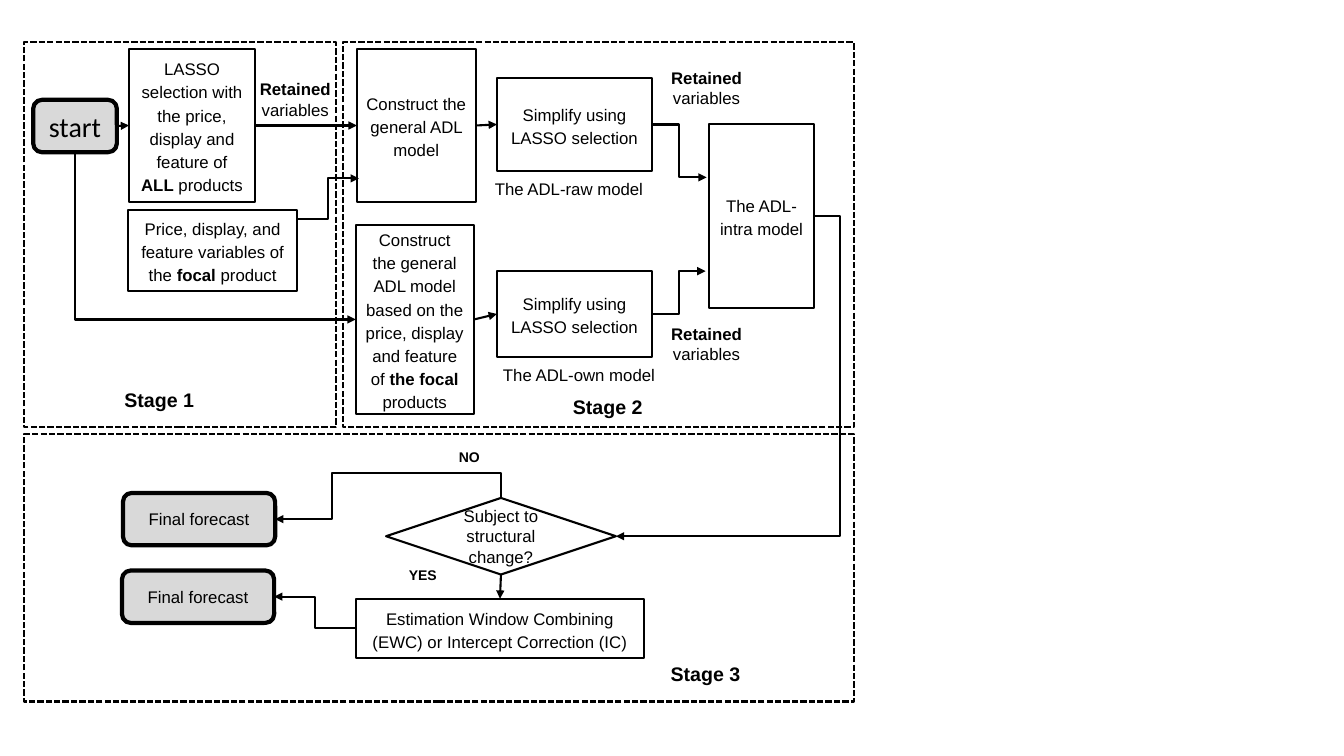
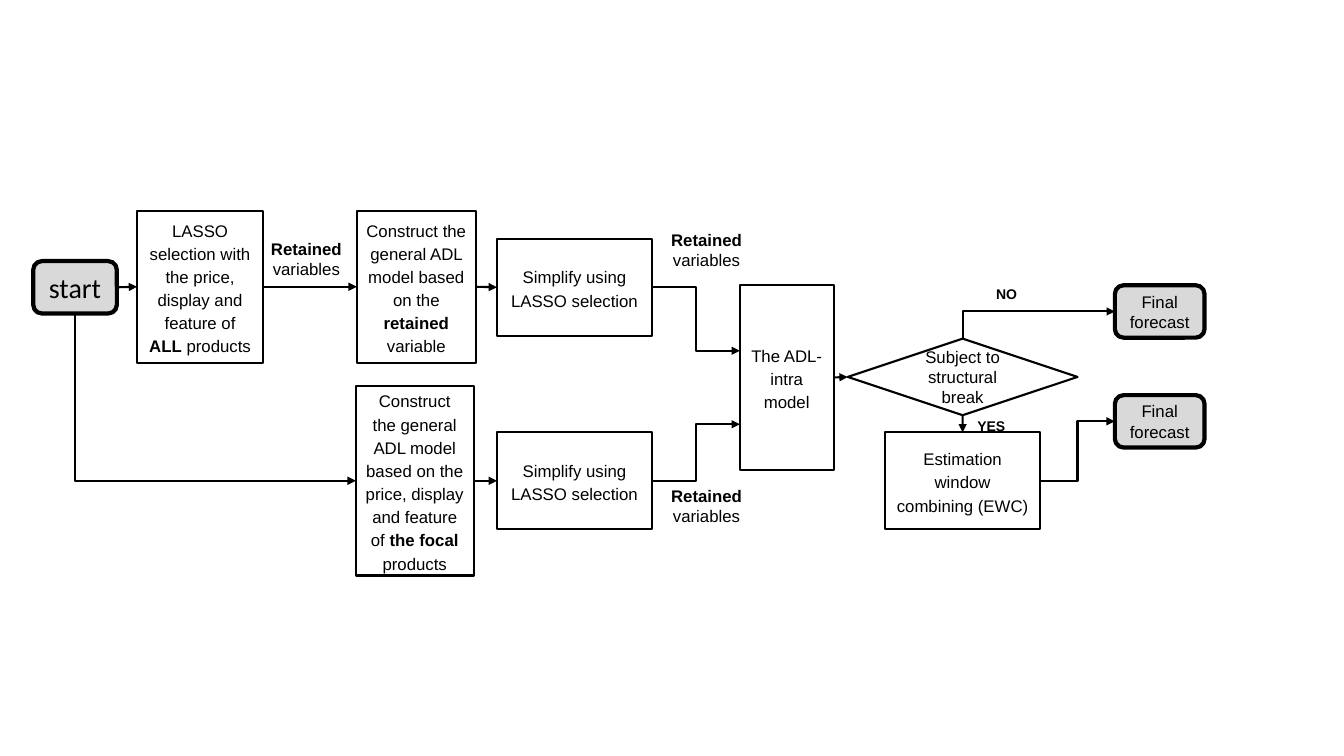
from lxml.etree import SubElement
from pptx import Presentation
from pptx.dml.color import RGBColor
from pptx.enum.dml import MSO_LINE
from pptx.enum.shapes import MSO_CONNECTOR, MSO_SHAPE
from pptx.enum.text import MSO_ANCHOR, PP_ALIGN
from pptx.oxml.ns import qn
from pptx.util import Inches, Pt

BLACK = RGBColor(0x00, 0x00, 0x00)
WHITE = RGBColor(0xFF, 0xFF, 0xFF)
GREY = RGBColor(0xD9, 0xD9, 0xD9)
CELL = 0.1
COLUMNS, ROWS = 133.33, 75
TOP, LEFT, BOTTOM, RIGHT = range(4)

RETAINED = "**Retained** variables"
SIMPLIFY = "Simplify using LASSO selection"
FORECAST = "Final forecast"


def grid(*cells):
    return [Inches(cell * CELL) for cell in cells]


def write(frame, text, size=12, font="Arial", bold=False, spacing=None, after=None):
    frame.word_wrap = True
    frame.vertical_anchor = MSO_ANCHOR.MIDDLE
    paragraph = frame.paragraphs[0]
    paragraph.alignment = PP_ALIGN.CENTER
    paragraph.line_spacing = spacing
    paragraph.space_after = after
    for index, part in enumerate(text.split("**")):
        if part:
            run = paragraph.add_run()
            run.text = part
            run.font.name = font
            run.font.size = Pt(size)
            run.font.bold = bold or index % 2 == 1
            run.font.color.rgb = BLACK


class FlowChart:
    process_text = {"spacing": 1.15, "after": Pt(10)}

    def __init__(self, presentation):
        self.presentation = presentation
        self.slide = None

    def new_slide(self):
        blank = self.presentation.slide_layouts[6]
        self.slide = self.presentation.slides.add_slide(blank)

    def outline(self, preset, place, fill=None, width=None):
        shape = self.slide.shapes.add_shape(preset, *grid(*place))
        shape.shadow.inherit = False
        if fill is None:
            shape.fill.background()
        else:
            shape.fill.solid()
            shape.fill.fore_color.rgb = fill
        if width is None:
            shape.line.fill.background()
        else:
            shape.line.color.rgb = BLACK
            shape.line.width = Pt(width)
        return shape

    def process(self, text, *place):
        shape = self.outline(MSO_SHAPE.RECTANGLE, place, WHITE, 1.5)
        frame = shape.text_frame
        frame.margin_left = frame.margin_right = Inches(0.09)
        write(frame, text, **self.process_text)
        return shape

    def terminal(self, text, *place, **style):
        shape = self.outline(MSO_SHAPE.ROUNDED_RECTANGLE, place, GREY, 3)
        write(shape.text_frame, text, **style)
        return shape

    def decision(self, text, column, row):
        shape = self.outline(MSO_SHAPE.DIAMOND, (column, row, 22.8, 7.6), WHITE, 1.5)
        write(shape.text_frame, text)
        return shape

    def retained(self, column, row):
        shape = self.outline(MSO_SHAPE.OVAL, (column, row, 14, 4.1))
        write(shape.text_frame, RETAINED)

    def label(self, text, *place, **style):
        box = self.slide.shapes.add_textbox(*grid(*place))
        write(box.text_frame, text, **style)

    def answer(self, text, column, row):
        self.label(text, column, row, 5.7, 2.1, size=10, bold=True)

    def stage(self, name, place, column, row):
        border = self.outline(MSO_SHAPE.RECTANGLE, place, width=1.5)
        border.line.dash_style = MSO_LINE.SQUARE_DOT
        self.label(name, column, row, 13, 4.1, size=14, bold=True)

    def arrow(self, source, target, sides=(RIGHT, LEFT), bends=None):
        route = MSO_CONNECTOR.STRAIGHT if bends is None else MSO_CONNECTOR.ELBOW
        begin = grid(*source) if isinstance(source, tuple) else (0, 0)
        end = grid(*target) if isinstance(target, tuple) else (0, 0)
        line = self.slide.shapes.add_connector(route, *begin, *end)
        if not isinstance(source, tuple):
            line.begin_connect(source, sides[0])
        if not isinstance(target, tuple):
            line.end_connect(target, sides[1])
        line.line.color.rgb = BLACK
        line.line.width = Pt(1.5)
        properties = line._element.spPr
        SubElement(properties.find(qn("a:ln")), qn("a:tailEnd"), type="triangle")
        SubElement(properties, qn("a:effectLst"))
        if bends is not None:
            self.bend(line, bends, upright=sides[0] in (TOP, BOTTOM))

    def bend(self, line, bends, upright):
        properties = line._element.spPr
        geometry = properties.find(qn("a:prstGeom"))
        geometry.set("prst", f"bentConnector{len(bends) + 2}")
        guides = geometry.find(qn("a:avLst"))
        for number, share in enumerate(bends, 1):
            SubElement(guides, qn("a:gd"), name=f"adj{number}",
                       fmla=f"val {round(share * 100000)}")
        if upright:
            across = line.end_x - line.begin_x
            down = line.end_y - line.begin_y
            middle_x = (line.begin_x + line.end_x) // 2
            middle_y = (line.begin_y + line.end_y) // 2
            line.width, line.height = abs(down), abs(across)
            line.left = middle_x - line.width // 2
            line.top = middle_y - line.height // 2
            transform = properties.find(qn("a:xfrm"))
            transform.set("rot", "16200000")
            transform.set("flipH", str(int(down > 0)))
            transform.set("flipV", str(int(across < 0)))


def draw_models(chart, row, lasso_column, retained_at, general_text,
                simplify_heights, intra_columns, intra_entries):
    start = chart.terminal("start", 3.3, row + 9.9, 8.3, 5.2, size=20, font="Calibri")
    lasso = chart.process(
        "LASSO selection with the price, display and feature of **ALL** products",
        lasso_column, row + 4.9, 12.5, 15.1)
    general = chart.process(general_text, 35.4, row + 4.9, 11.8, 15.1)
    focal = chart.process(
        "Construct the general ADL model based on the price, display and feature "
        "of **the focal** products", 35.3, row + 22.3, 11.7, 18.8)
    raw, own = [
        chart.process(SIMPLIFY, 49.3, row + offset, 15.4, height)
        for offset, height in zip((7.7, 26.9), simplify_heights)]
    intra_column, intra_width = intra_columns
    intra = chart.process("The ADL-intra model", intra_column, row + 12.3,
                          intra_width, 18.3)
    chart.retained(*retained_at)
    for offset in (6.7, 32.1):
        chart.retained(63.1, row + offset)
    for source, target in ((start, lasso), (lasso, general), (general, raw), (focal, own)):
        chart.arrow(source, target)
    chart.arrow(start, focal, (BOTTOM, LEFT), bends=())
    for source, entry in zip((raw, own), intra_entries):
        chart.arrow(source, entry, bends=(0.5,))
    return intra


def draw_staged_flow(chart):
    chart.new_slide()
    intra = draw_models(
        chart, 0, 12.8, (22.3, 7.8), "Construct the general ADL model",
        (9.3, 8.5), (70.3, 10.5), ((70.1, 17.6), (70, 26.9)))
    chart.process("Price, display, and feature variables of the **focal** product",
                  12.7, 20.8, 16.8, 8.1)
    chart.arrow((29.5, 21.7), (35.6, 17.7), bends=(0.5,))
    chart.label("The ADL-raw model", 45, 16.9, 22.9, 3.4, **chart.process_text)
    chart.label("The ADL-own model", 47.8, 35.3, 19.3, 3.4, **chart.process_text)
    change = chart.decision("Subject to structural change?", 38.3, 49.4)
    combining = chart.process(
        "Estimation Window Combining (EWC) or Intercept Correction (IC)",
        35.3, 59.4, 28.6, 5.9)
    unchanged = chart.terminal(FORECAST, 12.2, 48.9, 15.1, 5.2)
    corrected = chart.terminal(FORECAST, 12.1, 56.6, 15.1, 5.2)
    chart.answer("NO", 43.7, 44.3)
    chart.answer("YES", 39.1, 56)
    chart.arrow(intra, change, (RIGHT, RIGHT), bends=(-0.13,))
    chart.arrow(change, unchanged, (TOP, RIGHT), bends=(-1.2, 0.75))
    chart.arrow(change, combining, (BOTTOM, TOP))
    chart.arrow(combining, corrected, (LEFT, RIGHT), bends=(0.5,))
    chart.stage("Stage 1", (2.4, 4.2, 30.9, 38.2), 9.3, 37.6)
    chart.stage("Stage 2", (34, 4.2, 50.7, 38.2), 53.8, 38.3)
    chart.stage("Stage 3", (2.4, 43.1, 82.3, 26.5), 63.5, 64.8)


def draw_compact_flow(chart):
    chart.new_slide()
    intra = draw_models(
        chart, 16, 13.6, (23.4, 23.6),
        "Construct the general ADL model based on the **retained** variable",
        (9.6, 9.6), (73.4, 9.3), ((73.4, 34.8), (73.4, 42.1)))
    change = chart.decision("Subject to structural break", 84.1, 33.6)
    combining = chart.process("Estimation window combining (EWC)",
                              87.8, 42.9, 15.4, 9.6)
    unchanged, corrected = [
        chart.terminal(FORECAST, 110.6, row, 8.9, 5.2) for row in (28.3, 39.2)]
    chart.answer("NO", 97, 28.1)
    chart.answer("YES", 95.5, 41.2)
    chart.arrow(intra, change)
    chart.arrow(change, unchanged, (TOP, LEFT), bends=())
    chart.arrow(change, combining, (BOTTOM, TOP))
    chart.arrow(combining, corrected, bends=(0.5,))


def main():
    presentation = Presentation()
    presentation.slide_width, presentation.slide_height = grid(COLUMNS, ROWS)
    chart = FlowChart(presentation)
    draw_staged_flow(chart)
    draw_compact_flow(chart)
    presentation.save("out.pptx")


if __name__ == "__main__":
    main()
